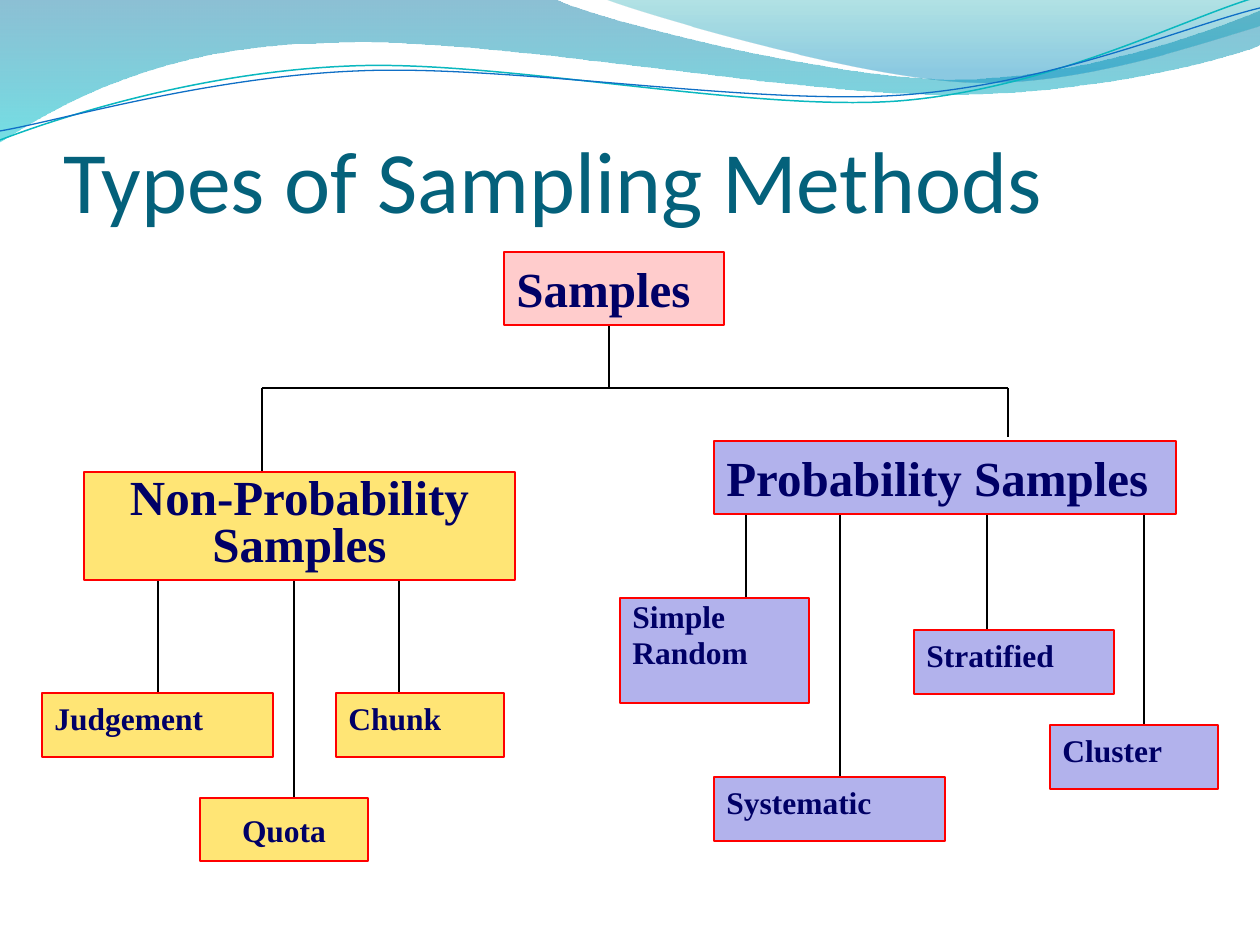
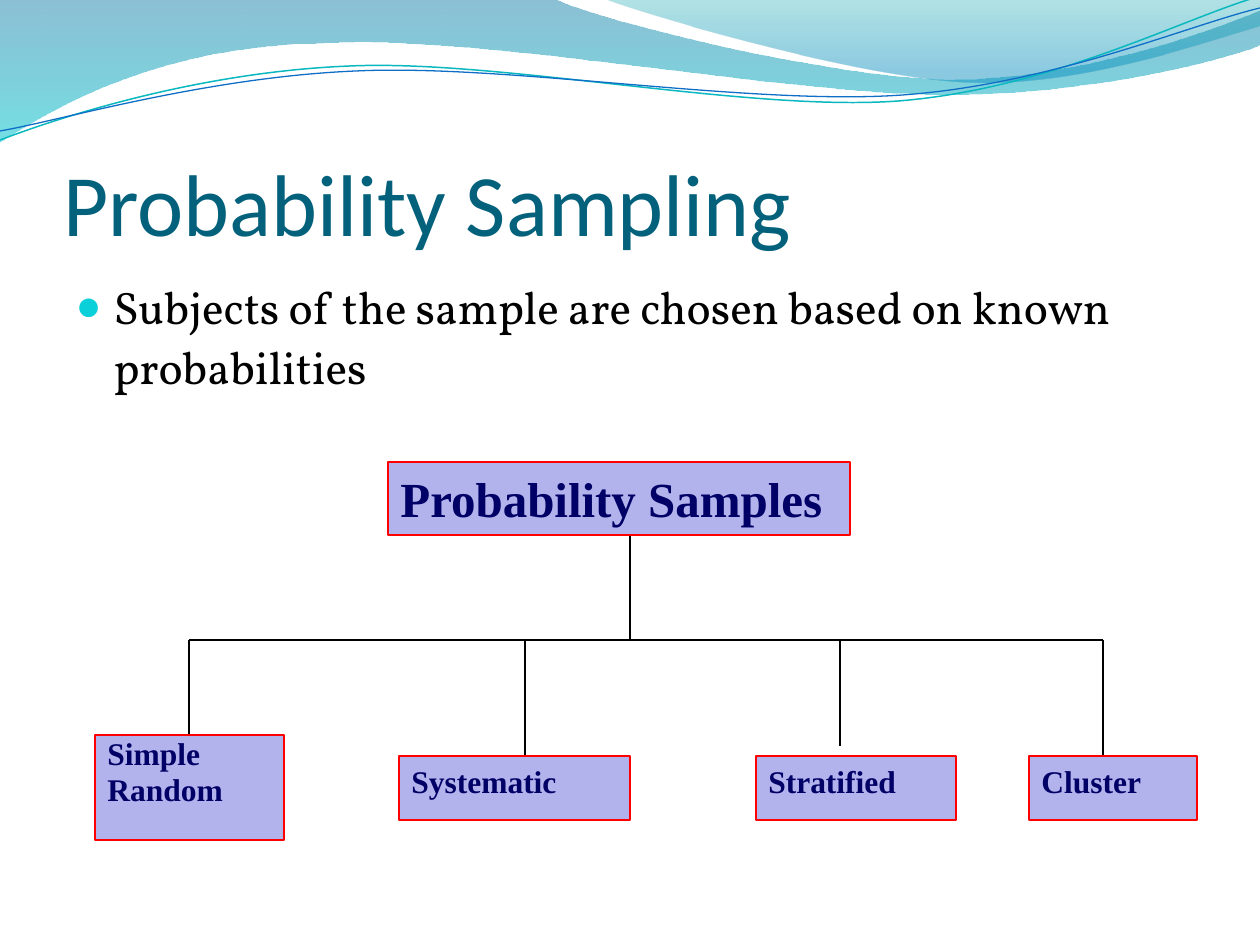
import dataclasses

import lxml.etree
import pptx
import pptx.dml.color
import pptx.enum.shapes
import pptx.enum.text
import pptx.oxml.ns
import pptx.util

SCALE = 914400 / 126  # EMU in one px
WIDE, HIGH = 1260, 945


@dataclasses.dataclass(frozen=True)
class Theme:
    title: str = "04617B"
    body: str = "000000"
    label: str = "000066"
    edge: str = "FF0000"
    wire: str = "000000"
    bullet: str = "0BD0D9"
    pink: str = "FFCCCC"
    yellow: str = "FFE575"
    violet: str = "B2B2EC"
    head_font: str = "Calibri"
    body_font: str = "Vollkorn"
    box_font: str = "Times New Roman"
    head_size: int = 50
    body_size: int = 26
    big_size: int = 28
    leaf_size: int = 18


THEME = Theme()

# Each wave is a start point, then steps: one point is a line, three a curve.
# Gradient stops are (place, colour, opacity in percent).
BANDS = [
    ([(0, 0),
      [(554, -1)],
      [(600, 21), (837, 79), (955, 79)],
      [(1074, 79), (1207, 33), (1260, 11)],
      [(1261, 45)],
      [(1239, 55), (1096, 96), (940, 94)],
      [(783, 94), (481, 35), (324, 43)],
      [(163, 45), (58, 105), (-1, 142)]],
     [(0, "0074A1", 45), (1, "00C6CF", 55)]),
    ([(604, -1),
      [(641, 14), (859, 78), (969, 82)],
      [(1079, 87), (1211, 40), (1260, 26)],
      [(1260, 0)]],
     [(0, "00A1A9", 30), (0.8, "008BBF", 45)]),
]
STRANDS = [
    ([(0, 140),
      [(60, 117), (199, 72), (349, 66)],
      [(498, 59), (747, 112), (898, 101)],
      [(1050, 89), (1182, 19), (1257, -3)]],
     "0AB8BF", 0.85),
    ([(0, 131),
      [(59, 121), (207, 77), (357, 71)],
      [(508, 64), (752, 106), (903, 95)],
      [(1053, 84), (1186, 26), (1260, 8)]],
     "0F6FC6", 0.75),
]

# Box name: width, height, fill, type size, line spacing
KINDS = {
    "Samples": (220, 73, THEME.pink, THEME.big_size, [1]),
    "Non-Probability Samples":
        (431, 108, THEME.yellow, THEME.big_size, [0.8]),
    "Probability Samples": (462, 73, THEME.violet, THEME.big_size, [1]),
    "Judgement": (231, 64, THEME.yellow, THEME.leaf_size, [1]),
    "Quota": (168, 63, THEME.yellow, THEME.leaf_size, [1]),
    "Chunk": (168, 64, THEME.yellow, THEME.leaf_size, [1]),
    "Simple\nRandom":
        (189, 105, THEME.violet, THEME.leaf_size, [0.8, 0.95]),
    "Systematic": (231, 64, THEME.violet, THEME.leaf_size, [1]),
    "Stratified": (200, 64, THEME.violet, THEME.leaf_size, [1]),
    "Cluster": (168, 64, THEME.violet, THEME.leaf_size, [1]),
}
# Further format of single boxes
EXTRA = {
    "Non-Probability Samples": {"center": True},
    "Quota": {"center": True, "anchor": "MIDDLE", "wrap": False, "before": 0},
}

# Rails are (left, right, y); drops are (x, top, bottom).
SLIDES = [
    {
        "title": "Types of Sampling Methods",
        "title_top": 74,
        "points": [],
        "boxes": [
            ("Samples", 504, 252),
            ("Non-Probability Samples", 84, 472),
            ("Probability Samples", 714, 441),
            ("Judgement", 42, 693),
            ("Quota", 200, 798),
            ("Chunk", 336, 693),
            ("Simple\nRandom", 620, 598),
            ("Systematic", 714, 777),
            ("Stratified", 914, 630),
            ("Cluster", 1050, 725),
        ],
        "rails": [(262, 1008, 388)],
        "drops": [
            (609, 325, 388), (262, 388, 472), (1008, 388, 437),
            (158, 580, 693), (294, 580, 798), (399, 580, 693),
            (746, 514, 598), (840, 514, 777), (987, 514, 630),
            (1144, 514, 725),
        ],
    },
    {
        "title": "Probability Sampling",
        "title_top": 97,
        "points": ["Subjects of the sample are chosen based on known "
                   "probabilities"],
        "boxes": [
            ("Probability Samples", 388, 462),
            ("Simple\nRandom", 95, 735),
            ("Systematic", 399, 756),
            ("Stratified", 756, 756),
            ("Cluster", 1029, 756),
        ],
        "rails": [(189, 1103, 640)],
        "drops": [
            (630, 535, 640), (189, 640, 735), (525, 640, 756),
            (840, 640, 746), (1103, 640, 756),
        ],
    },
]


def px(count):
    return pptx.util.Emu(round(count * SCALE))


def rgb(code):
    return pptx.dml.color.RGBColor.from_string(code)


def place(shape, left, top, width, height):
    shape.left, shape.top = px(left), px(top)
    shape.width, shape.height = px(width), px(height)


def write(shape, text, *, font, size, color, bold=False, center=False,
          leads=(1,), before=0, inset=None, anchor="TOP", wrap=True):
    """Fill a shape with text, one paragraph per line."""
    frame = shape.text_frame
    frame.text = text
    frame.word_wrap = wrap
    frame.auto_size = pptx.enum.text.MSO_AUTO_SIZE.NONE
    frame.vertical_anchor = pptx.enum.text.MSO_ANCHOR[anchor]
    if inset:
        frame.margin_left, frame.margin_top, frame.margin_right, \
            frame.margin_bottom = map(px, inset)
    for spot, para in enumerate(frame.paragraphs):
        para.alignment = pptx.enum.text.PP_ALIGN[
            "CENTER" if center else "LEFT"]
        para.line_spacing = leads[min(spot, len(leads) - 1)]
        para.space_before = pptx.util.Pt(before)
        for run in para.runs:
            run.font.name = font
            run.font.size = pptx.util.Pt(size)
            run.font.bold = bold
            run.font.color.rgb = rgb(color)


def add_tag(parent, tag, **attrs):
    return lxml.etree.SubElement(parent, pptx.oxml.ns.qn(tag), attrs)


def add_dots(shape, indent):
    """Give every paragraph a round coloured bullet."""
    for para in shape.text_frame.paragraphs:
        props = para._p.get_or_add_pPr()
        props.set("marL", str(px(indent)))
        props.set("indent", str(-px(indent)))
        tint = add_tag(props, "a:buClr")
        add_tag(tint, "a:srgbClr", val=THEME.bullet)
        add_tag(props, "a:buSzPct", val="95000")
        add_tag(props, "a:buChar", char="●")


def add_wave(slide, wave, close):
    """Build the outline from lines, then join each three into a curve."""
    start, *steps = wave
    pen = slide.shapes.build_freeform(*start, scale=SCALE)
    pen.add_line_segments([dot for step in steps for dot in step],
                          close=close)
    shape = pen.convert_to_shape()
    shape.shadow.inherit = False
    lines = iter(list(shape.element.iter(pptx.oxml.ns.qn("a:lnTo"))))
    for step in steps:
        group = [next(lines) for _ in step]
        if len(group) == 3:
            curve = lxml.etree.Element(pptx.oxml.ns.qn("a:cubicBezTo"))
            group[0].addprevious(curve)
            for line in group:
                curve.append(line[0])
                line.getparent().remove(line)
    return shape


def add_waves(slide, master):
    """Draw the waves and hand them to the master, behind all else."""
    waves = []
    for wave, stops in BANDS:
        shape = add_wave(slide, wave, True)
        shape.line.fill.background()
        shape.fill.gradient()
        shape.fill.gradient_angle = 270
        for stop, (spot, color, _) in zip(shape.fill.gradient_stops, stops):
            stop.position = spot
            stop.color.rgb = rgb(color)
        tints = shape.element.spPr.iter(pptx.oxml.ns.qn("a:srgbClr"))
        for tint, (_, _, alpha) in zip(list(tints), stops):
            add_tag(tint, "a:alpha", val=str(alpha * 1000))
        waves.append(shape)
    for wave, color, width in STRANDS:
        shape = add_wave(slide, wave, False)
        shape.fill.background()
        shape.line.color.rgb = rgb(color)
        shape.line.width = pptx.util.Pt(width)
        waves.append(shape)
    tree = master.shapes.element
    for spot, shape in enumerate(waves, 2):
        tree.insert(spot, shape.element)


def add_wire(slide, *ends):
    wire = slide.shapes.add_connector(
        pptx.enum.shapes.MSO_CONNECTOR.STRAIGHT, *map(px, ends))
    wire.line.color.rgb = rgb(THEME.wire)
    wire.line.width = pptx.util.Pt(1)
    add_tag(wire.element.spPr, "a:effectLst")


def add_box(slide, name, left, top):
    width, height, fill, size, leads = KINDS[name]
    box = slide.shapes.add_shape(
        pptx.enum.shapes.MSO_SHAPE.RECTANGLE,
        *map(px, (left, top, width, height)))
    box.shadow.inherit = False
    box.fill.solid()
    box.fill.fore_color.rgb = rgb(fill)
    box.line.color.rgb = rgb(THEME.edge)
    box.line.width = pptx.util.Pt(1)
    style = {"before": size // 10, **EXTRA.get(name, {})}
    write(box, name, font=THEME.box_font, size=size, color=THEME.label,
          bold=True, leads=leads, **style)


def add_page(deck, page):
    layout = deck.slide_layouts[1 if page["points"] else 5]
    slide = deck.slides.add_slide(layout)
    title = slide.shapes.title
    place(title, 63, page["title_top"], 1134, 157)
    write(title, page["title"], font=THEME.head_font, size=THEME.head_size,
          color=THEME.title, inset=(0, 6, 0, 0), anchor="BOTTOM")
    if page["points"]:
        body = slide.placeholders[1]
        place(body, 63, 267, 1134, 605)
        write(body, "\n".join(page["points"]), font=THEME.body_font,
              size=THEME.body_size, color=THEME.body, leads=[1.1], before=2)
        add_dots(body, 38)
    for left, right, y in page["rails"]:
        add_wire(slide, left, y, right, y)
    for x, top, bottom in page["drops"]:
        add_wire(slide, x, top, x, bottom)
    for box in page["boxes"]:
        add_box(slide, *box)
    return slide


def main():
    deck = pptx.Presentation()
    deck.slide_width, deck.slide_height = px(WIDE), px(HIGH)
    pages = [add_page(deck, page) for page in SLIDES]
    add_waves(pages[0], deck.slide_master)
    deck.save("out.pptx")


if __name__ == "__main__":
    main()
